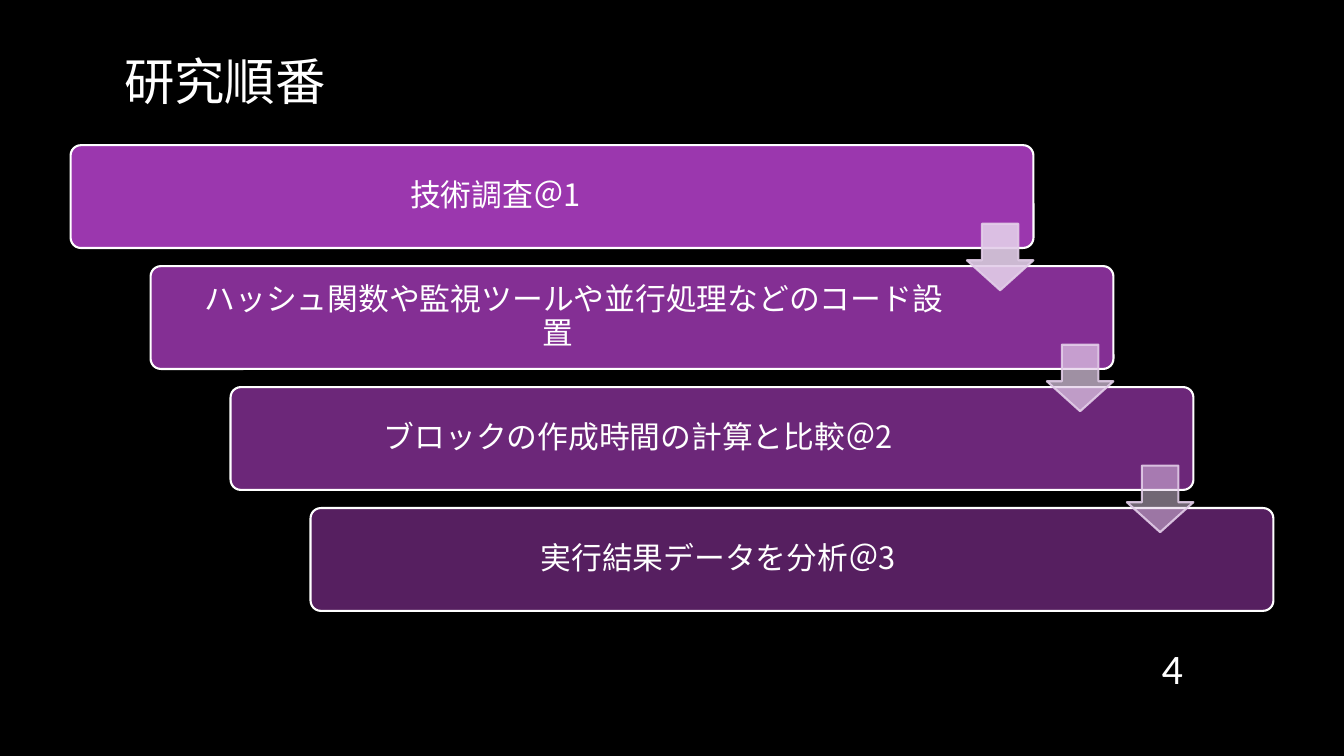
from lxml import etree
from pptx import Presentation
from pptx import util as u
from pptx.dml.color import RGBColor
from pptx.enum import shapes, text
from pptx.oxml.ns import qn

COLORS = {"background": "000000", "text": "FFFFFF", "step": "AC3EC1", "arrow": "E3CEE9"}
JP_FONT = "Noto Sans CJK JP"
# Step wording, box opacity, opacity of the arrow to the next step
STEPS = [
    ("技術調査＠1", 90, 90),
    ("\u3000ハッシュ関数や監視ツールや並行処理などのコード設置".replace("\u3000", "　"), 77, 70),
    ("ブロックの作成時間の計算と比較＠2", 63, 50),
    ("実行結果データを分析＠3", 50, None),
]


def rgb(name):
    return RGBColor.from_string(COLORS[name])


def write(sp, words, size, font=JP_FONT, align=text.PP_ALIGN.LEFT, spacing=None, inset=0.1):
    tf = sp.text_frame
    tf.word_wrap = True
    tf.auto_size = text.MSO_AUTO_SIZE.NONE
    tf.vertical_anchor = text.MSO_ANCHOR.MIDDLE
    tf.margin_left = tf.margin_right = u.Inches(inset)
    tf.margin_top = tf.margin_bottom = u.Inches(min(inset, 0.09))
    p = tf.paragraphs[0]
    p.alignment, p.line_spacing = align, spacing
    r = p.add_run()
    r.text = words
    r.font.size, r.font.name = u.Pt(size), font
    r.font.color.rgb = rgb("text")
    ea = etree.SubElement(r.font._element, qn("a:ea"))
    ea.set("typeface", font)


def set_alpha(fill_parent, percent):
    color = fill_parent.find(qn("a:solidFill")).find(qn("a:srgbClr"))
    etree.SubElement(color, qn("a:alpha")).set("val", str(percent * 1000))


def add_block(slide, preset, box, adjustments, fill, line, fill_alpha, line_alpha=100):
    sp = slide.shapes.add_shape(preset, *map(u.Inches, box))
    sp.shadow.inherit = False
    for i, value in enumerate(adjustments):
        sp.adjustments[i] = value
    sp.fill.solid()
    sp.fill.fore_color.rgb = rgb(fill)
    sp.line.color.rgb = rgb(line)
    sp.line.width = u.Pt(1.5)
    sp_pr = sp.element.spPr
    set_alpha(sp_pr, fill_alpha)
    set_alpha(sp_pr.find(qn("a:ln")), line_alpha)


def add_title(slide, box, words):
    title = slide.shapes.title
    title.left, title.top, title.width, title.height = map(u.Inches, box)
    write(title, words, 36)


def add_staircase(slide, box):
    left, top, width, height = box
    step_w, step_h, arrow = 9.55, 1.02, 0.66
    dx = (width - step_w) / (len(STEPS) - 1)
    dy = (height - step_h) / (len(STEPS) - 1)
    places = [(left + i * dx, top + i * dy) for i in range(len(STEPS))]

    # Steps, with labels kept clear of the arrows
    for i, ((x, y), (words, alpha, _)) in enumerate(zip(places, STEPS)):
        add_block(slide, shapes.MSO_SHAPE.ROUNDED_RECTANGLE, (x, y, step_w, step_h),
                  [0.1], "step", "text", alpha)
        label_w = 8.03 if i else 8.37
        label = slide.shapes.add_textbox(
            *map(u.Inches, (x + 0.03, y + 0.03, label_w, step_h - 0.06)))
        write(label, words, 22, align=text.PP_ALIGN.CENTER, spacing=0.9, inset=0.09)

    # Arrows at each step's right edge, across the gap below
    for (x, y), (_, _, alpha) in zip(places[:-1], STEPS):
        add_block(slide, shapes.MSO_SHAPE.DOWN_ARROW,
                  (x + step_w - arrow, y + 0.78, arrow, arrow),
                  [0.55, 0.45], "arrow", "arrow", alpha, 90)


def add_page_number(slide, box, number):
    sp = slide.shapes.add_textbox(*map(u.Inches, box))
    write(sp, number, 30, font="Calibri", align=text.PP_ALIGN.RIGHT)


def main():
    prs = Presentation()
    prs.slide_width, prs.slide_height = u.Inches(13.33), u.Inches(7.5)
    slide = prs.slides.add_slide(prs.slide_layouts[5])
    slide.background.fill.solid()
    slide.background.fill.fore_color.rgb = rgb("background")
    add_title(slide, (1.13, 0, 11.08, 1.59), "研究順番")
    add_staircase(slide, (0.7, 1.44, 11.93, 4.62))
    add_page_number(slide, (11.23, 6.42, 0.6, 0.41), "4")
    prs.save("out.pptx")


if __name__ == "__main__":
    main()
